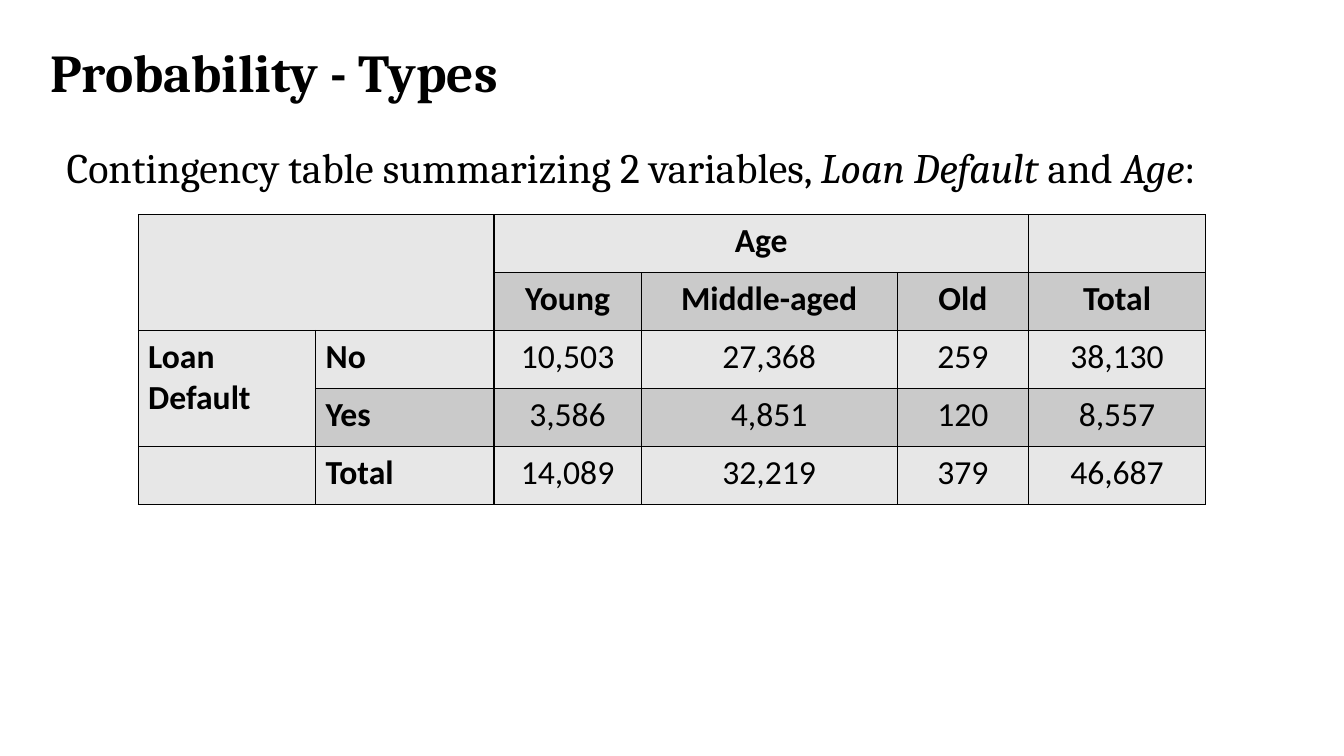
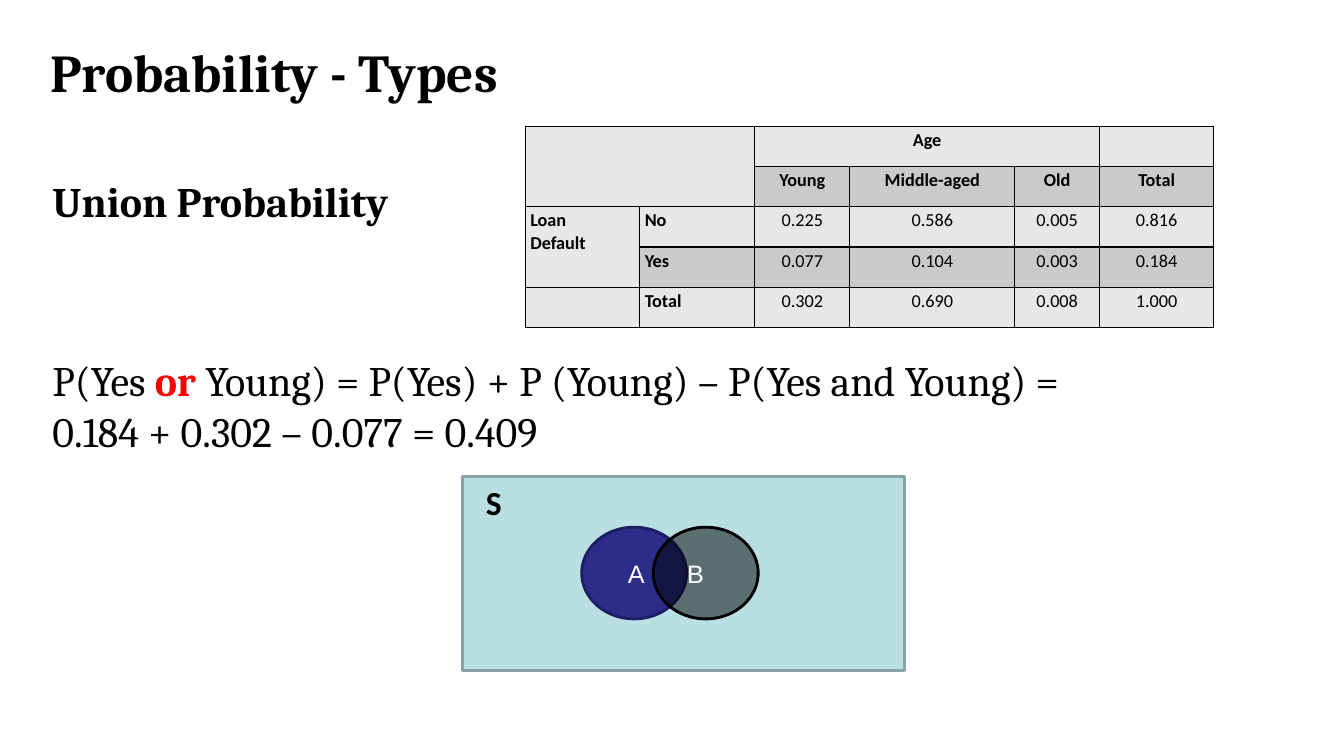
from dataclasses import dataclass

from lxml import etree
from pptx import Presentation, util as u
from pptx.dml.color import RGBColor
from pptx.enum import shapes, text
from pptx.oxml import ns


@dataclass(frozen=True)
class Theme:
    serif: str = "Cambria"
    sans: str = "Calibri"
    label: str = "Arial"
    black: str = "000000"
    white: str = "FFFFFF"
    red: str = "FF0000"
    light: str = "E7E7E7"
    dark: str = "CACACA"
    space: str = "BADFE2"
    space_edge: str = "88A3A7"
    navy: str = "2C2C89"
    navy_edge: str = "1E1E63"
    title: float = 38
    body: float = 30
    cell: float = 24
    small: float = 13
    letter: float = 18
    edge: float = 2.04


T = Theme()


@dataclass(frozen=True)
class Box:
    left: float
    top: float
    width: float
    height: float

    def dims(self) -> list:
        return [u.Inches(v) for v in (self.left, self.top, self.width, self.height)]


@dataclass(frozen=True)
class Bit:
    words: str
    bold: bool = False
    slant: bool = False
    color: str = T.black


@dataclass(frozen=True)
class Grid:
    left: float
    top: float
    scale: float
    row: float
    size: float
    pad: float
    indent: float
    rim: float
    counts: tuple


@dataclass(frozen=True)
class Figure:
    kind: int
    box: Box
    fill: str
    line: str
    words: str
    color: str = T.white
    font: str = T.label
    size: float = T.letter
    bold: bool = False
    inset: tuple = (0, 0, 0)
    align: int = text.PP_ALIGN.CENTER
    anchor: int = text.MSO_ANCHOR.MIDDLE
    alpha: int = 100


WIDTHS = (1.76, 1.77, 1.46, 2.54, 1.3, 1.76)
AGES = ("Young", "Middle-aged", "Old", "Total")
ANSWERS = ("No", "Yes", "Total")
TITLE = Box(0.4, 0.36, 12.53, 0.78)

COUNTS = Grid(1.37, 2.13, 1, 0.575, T.cell, 0.06, 0.1, 0.5, (
    ("10,503", "27,368", "259", "38,130"),
    ("3,586", "4,851", "120", "8,557"),
    ("14,089", "32,219", "379", "46,687"),
))
SHARES = Grid(5.21, 1.25, 0.645, 0.4, T.small, 0.03, 0.05, 0.75, (
    ("0.225", "0.586", "0.005", "0.816"),
    ("0.077", "0.104", "0.003", "0.184"),
    ("0.302", "0.690", "0.008", "1.000"),
))
VENN = (
    Figure(shapes.MSO_SHAPE.RECTANGLE, Box(4.59, 4.73, 4.38, 1.92), T.space,
           T.space_edge, "S", T.black, T.sans, T.cell, True, (0.23, 0.05, 0),
           text.PP_ALIGN.LEFT, text.MSO_ANCHOR.TOP),
    Figure(shapes.MSO_SHAPE.OVAL, Box(5.77, 5.23, 1.04, 0.91), T.navy,
           T.navy_edge, "A", inset=(0.04, 0, 0)),
    Figure(shapes.MSO_SHAPE.OVAL, Box(6.48, 5.23, 1.04, 0.91), T.black,
           T.black, "B", inset=(0, 0, 0.2), alpha=50),
)


def style(font, face: str, size: float, color: str, bold=False, slant=False) -> None:
    font.name = face
    font.size = u.Pt(size)
    font.color.rgb = RGBColor.from_string(color)
    font.bold = bold
    font.italic = slant


def inset(frame, left: float, top: float, right=0.0) -> None:
    frame.margin_left = u.Inches(left)
    frame.margin_top = u.Inches(top)
    frame.margin_right = u.Inches(right)
    frame.margin_bottom = 0


def place(shape, box: Box) -> None:
    shape.left, shape.top, shape.width, shape.height = box.dims()


def write(frame, lines: tuple, size: float) -> None:
    frame.word_wrap = True
    frame.auto_size = text.MSO_AUTO_SIZE.NONE
    for at, bits in enumerate(lines):
        para = frame.paragraphs[0] if at == 0 else frame.add_paragraph()
        props = para._p.get_or_add_pPr()
        props.set("marL", "0")
        props.set("indent", "0")
        etree.SubElement(props, ns.qn("a:buNone"))
        para.alignment = text.PP_ALIGN.LEFT
        para.space_before = u.Pt(0)
        for bit in bits:
            run = para.add_run()
            run.text = bit.words
            style(run.font, T.serif, size, bit.color, bit.bold, bit.slant)


def start(deck, box: Box, lines: tuple):
    slide = deck.slides.add_slide(deck.slide_layouts[1])
    title, body = slide.placeholders
    place(title, TITLE)
    title.text_frame.vertical_anchor = text.MSO_ANCHOR.MIDDLE
    write(title.text_frame, ((Bit("Probability - Types", True),),), T.title)
    title.text_frame.paragraphs[0].line_spacing = 0.9
    place(body, box)
    inset(body.text_frame, 0.01, 0.02)
    write(body.text_frame, lines, T.body)
    return slide


def border(cell, sides: dict) -> None:
    props = cell._tc.get_or_add_tcPr()
    for side, width in sides.items():
        line = etree.SubElement(props, ns.qn(f"a:ln{side}"), w=str(u.Pt(width)))
        fill = etree.SubElement(line, ns.qn("a:solidFill"))
        etree.SubElement(fill, ns.qn("a:srgbClr"), val=T.black)


def draw_grid(slide, grid: Grid) -> None:
    rows = [("", "", "Age", "", "", ""), ("", "", *AGES)]
    for name, counts in zip(ANSWERS, grid.counts):
        rows.append(("Loan Default" if name == "No" else "", name, *counts))
    last, end = len(rows) - 1, len(WIDTHS) - 1
    box = Box(grid.left, grid.top, sum(WIDTHS) * grid.scale, grid.row * len(rows))
    table = slide.shapes.add_table(len(rows), len(WIDTHS), *box.dims()).table
    table.first_row = table.horz_banding = False
    for col, width in zip(table.columns, WIDTHS):
        col.width = u.Inches(width * grid.scale)
    for r, row in enumerate(rows):
        table.rows[r].height = u.Inches(grid.row)
        for c, words in enumerate(row):
            cell = table.cell(r, c)
            border(cell, {"L": grid.rim if c == 0 else 1,
                          "R": grid.rim if c == end else 1,
                          "T": grid.rim if r == 0 else 1,
                          "B": grid.rim if r == last else 1})
            cell.fill.solid()
            shade = T.dark if r % 2 and c > 0 else T.light
            cell.fill.fore_color.rgb = RGBColor.from_string(shade)
            inset(cell, grid.indent if c < 2 else 0, grid.pad, 0.4 if c == 0 else 0)
            para = cell.text_frame.paragraphs[0]
            para.text = words
            para.alignment = text.PP_ALIGN.LEFT if c < 2 else text.PP_ALIGN.CENTER
            style(para.font, T.sans, grid.size, T.black)
            for run in para.runs:
                style(run.font, T.sans, grid.size, T.black, r < 2 or c < 2)
    for first, far in (((0, 0), (1, 1)), ((0, 2), (0, 4)), ((2, 0), (3, 0))):
        table.cell(*first).merge(table.cell(*far))


def draw_figure(slide, fig: Figure) -> None:
    shape = slide.shapes.add_shape(fig.kind, *fig.box.dims())
    shape.shadow.inherit = False
    shape.fill.solid()
    shape.fill.fore_color.rgb = RGBColor.from_string(fig.fill)
    if fig.alpha < 100:
        color = shape._element.spPr.find(f".//{ns.qn('a:srgbClr')}")
        etree.SubElement(color, ns.qn("a:alpha"), val=str(fig.alpha * 1000))
    shape.line.color.rgb = RGBColor.from_string(fig.line)
    shape.line.width = u.Pt(T.edge)
    frame = shape.text_frame
    inset(frame, *fig.inset)
    frame.vertical_anchor = fig.anchor
    frame.text = fig.words
    para = frame.paragraphs[0]
    para.alignment = fig.align
    style(para.runs[0].font, fig.font, fig.size, fig.color, fig.bold)


def main() -> None:
    deck = Presentation()
    deck.slide_width, deck.slide_height = u.Inches(13.33), u.Inches(7.5)

    counts = start(deck, Box(0.65, 1.38, 12.68, 0.52), ((
        Bit("Contingency table summarizing 2 variables, "),
        Bit("Loan Default ", slant=True), Bit("and "),
        Bit("Age", slant=True), Bit(":")),))
    draw_grid(counts, COUNTS)

    union = start(deck, Box(0.51, 3.5, 10.43, 1.1), (
        (Bit("P(Yes "), Bit("or ", True, color=T.red),
         Bit("Young) = P(Yes) + P (Young) – P(Yes and Young) =")),
        (Bit("0.184 + 0.302 – 0.077 = 0.409"),)))
    draw_grid(union, SHARES)
    head = union.shapes.add_textbox(*Box(0.51, 1.72, 4.06, 0.52).dims())
    inset(head.text_frame, 0.01, 0.02)
    write(head.text_frame, ((Bit("Union Probability", True),),), T.body)
    for fig in VENN:
        draw_figure(union, fig)

    deck.save("out.pptx")


if __name__ == "__main__":
    main()
